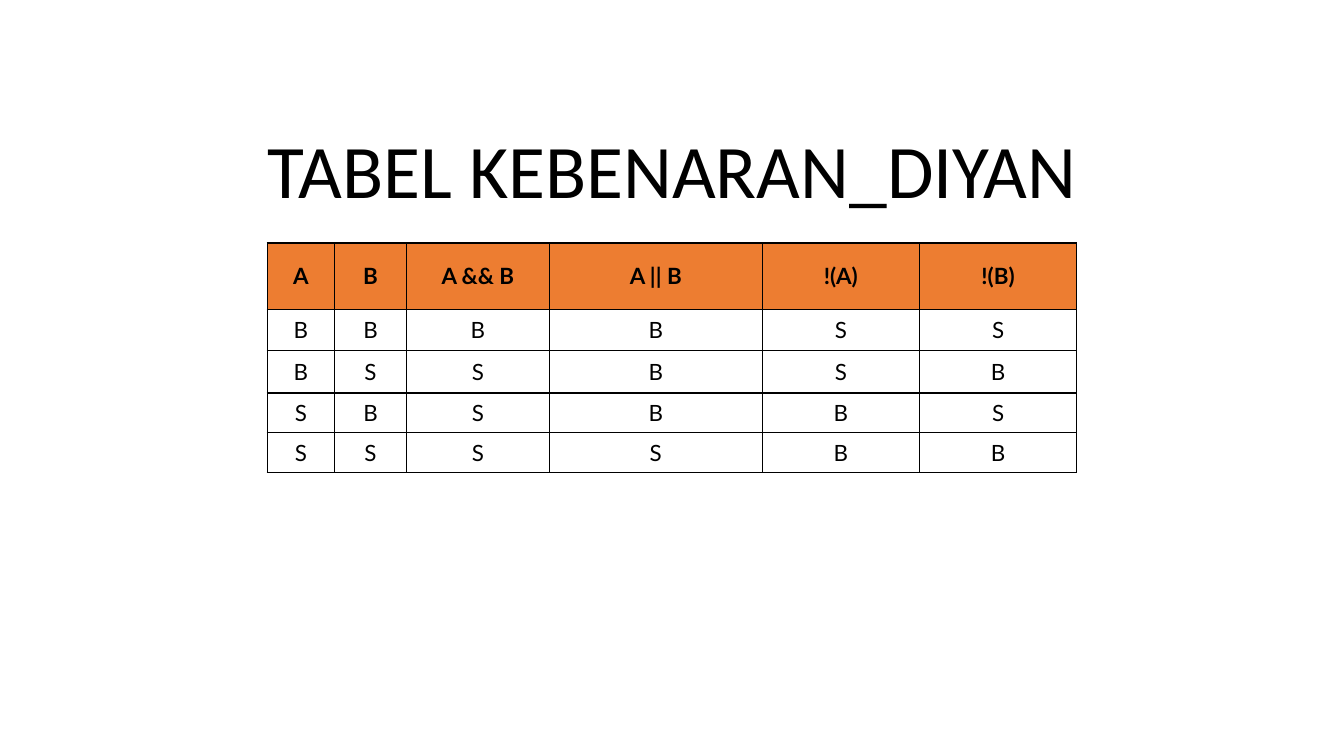
from lxml.etree import SubElement
from pptx import Presentation
from pptx.dml.color import RGBColor
from pptx.enum.text import MSO_ANCHOR as Anchor, PP_ALIGN as Align
from pptx.oxml.ns import qn
from pptx.util import Pt

PX = 9144
BLACK = RGBColor(0x00, 0x00, 0x00)
WHITE = RGBColor(0xFF, 0xFF, 0xFF)
ORANGE = RGBColor(0xED, 0x7D, 0x31)

COLUMN_WIDTHS = [67, 71, 142, 211, 156, 156]
ROW_HEIGHTS = [66, 41, 42, 39, 40]
TRUTH_TABLE = [
    ["A", "B", "A && B", "A || B", "!(A)", "!(B)"],
    ["B", "B", "B", "B", "S", "S"],
    ["B", "S", "S", "B", "S", "B"],
    ["S", "B", "S", "B", "B", "S"],
    ["S", "S", "S", "S", "B", "B"],
]


def style_paragraph(paragraph, font_name, size, bold=False):
    paragraph.alignment = Align.CENTER
    paragraph.font.name = font_name
    paragraph.font.size = Pt(size)
    paragraph.font.bold = bold
    paragraph.font.color.rgb = BLACK


def add_borders(cell):
    properties = cell._tc.get_or_add_tcPr()
    for side in ("a:lnL", "a:lnR", "a:lnT", "a:lnB"):
        line = SubElement(properties, qn(side), w=str(Pt(1)))
        fill = SubElement(line, qn("a:solidFill"))
        SubElement(fill, qn("a:srgbClr"), val=str(BLACK))


def add_title(slide, left, top, width, height):
    box = slide.shapes.add_textbox(left * PX, top * PX, width * PX, height * PX)
    frame = box.text_frame
    frame.word_wrap = True
    frame.vertical_anchor = Anchor.BOTTOM
    frame.text = "TABEL KEBENARAN_DIYAN"
    paragraph = frame.paragraphs[0]
    paragraph.line_spacing = 0.9
    style_paragraph(paragraph, "Calibri", 54)


def add_truth_table(slide, left, top):
    table = slide.shapes.add_table(
        len(ROW_HEIGHTS), len(COLUMN_WIDTHS), left * PX, top * PX,
        sum(COLUMN_WIDTHS) * PX, sum(ROW_HEIGHTS) * PX).table
    table.horz_banding = False
    for column, width in zip(table.columns, COLUMN_WIDTHS):
        column.width = width * PX
    for index, (row, height, values) in enumerate(zip(table.rows, ROW_HEIGHTS, TRUTH_TABLE)):
        row.height = height * PX
        header = index == 0
        for cell, value in zip(row.cells, values):
            cell.text = value
            cell.vertical_anchor = Anchor.MIDDLE
            style_paragraph(cell.text_frame.paragraphs[0], "Lato", 16, header)
            add_borders(cell)
            cell.fill.solid()
            cell.fill.fore_color.rgb = ORANGE if header else WHITE


def main():
    presentation = Presentation()
    presentation.slide_width = 1333 * PX
    presentation.slide_height = 750 * PX
    slide = presentation.slides.add_slide(presentation.slide_layouts[6])
    add_title(slide, 167, 123, 1000, 95)
    add_truth_table(slide, 265, 241)
    presentation.save("out.pptx")


if __name__ == "__main__":
    main()
